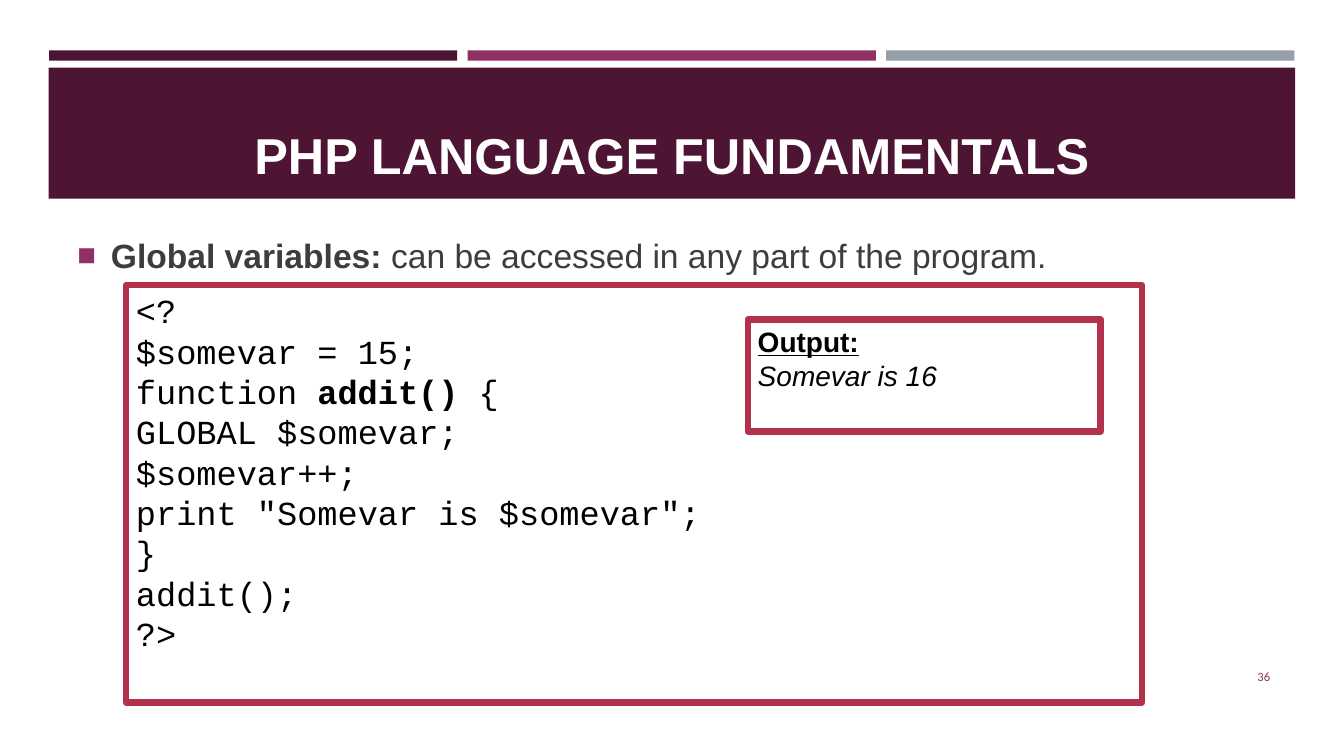
"""Build the slide on global variables in PHP."""
from lxml.etree import SubElement
from pptx import Presentation
from pptx.dml.color import RGBColor
from pptx.enum.shapes import MSO_SHAPE
from pptx.enum.text import MSO_ANCHOR, PP_ALIGN
from pptx.oxml.ns import qn
from pptx.util import Pt

PLUM, MAGENTA, GREY, RED = "4D1434", "903163", "969FA7", "B2324B"
WHITE, BLACK, CHARCOAL = "FFFFFF", "000000", "3D3D3D"


def color(value):
    return RGBColor.from_string(value)


class SlideBuilder:
    def __init__(self, page, outline_width=4.5):
        self.page = page
        self.outline_width = outline_width

    def rectangle(self, left, top, width, height, fill, outline=None):
        box = self.page.shapes.add_shape(
            MSO_SHAPE.RECTANGLE, Pt(left), Pt(top), Pt(width), Pt(height))
        box.shadow.inherit = False
        box.fill.solid()
        box.fill.fore_color.rgb = color(fill)
        if outline:
            box.line.color.rgb = color(outline)
            box.line.width = Pt(self.outline_width)
        else:
            box.line.fill.background()
        return box

    def text_box(self, left, top, width, height):
        return self.page.shapes.add_textbox(Pt(left), Pt(top), Pt(width), Pt(height))

    def add_text(self, box, lines, font, size, ink, align=PP_ALIGN.LEFT, anchor=MSO_ANCHOR.TOP):
        frame = box.text_frame
        frame.word_wrap = True
        frame.vertical_anchor = anchor
        for index, line in enumerate(lines):
            para = frame.add_paragraph() if index else frame.paragraphs[0]
            para.alignment = align
            for text, style in line:
                span = para.add_run()
                span.text = text
                span.font.name = font
                span.font.size = Pt(size)
                span.font.color.rgb = color(ink)
                span.font.bold = "b" in style
                span.font.italic = "i" in style
                span.font.underline = "u" in style

    def bullet(self, para, symbol, ink, percent, indent):
        para.line_spacing = 1.5
        para.space_after = Pt(6)
        properties = para._p.get_or_add_pPr()
        properties.set("marL", str(Pt(indent)))
        properties.set("indent", str(-Pt(indent)))
        bullet_color = SubElement(properties, qn("a:buClr"))
        SubElement(bullet_color, qn("a:srgbClr"), val=ink)
        SubElement(properties, qn("a:buSzPct"), val=str(percent * 1000))
        SubElement(properties, qn("a:buFont"), typeface="Arial")
        SubElement(properties, qn("a:buChar"), char=symbol)


def main():
    deck = Presentation()
    deck.slide_width, deck.slide_height = Pt(960), Pt(540)
    builder = SlideBuilder(deck.slides.add_slide(deck.slide_layouts[6]))

    for column, fill in enumerate((PLUM, MAGENTA, GREY)):
        builder.rectangle(35 + column * 299, 36, 291.6, 7.4, fill)
    builder.rectangle(34.8, 48.4, 890.4, 93.6, PLUM)

    title = builder.text_box(46, 55.4, 868, 80)
    builder.add_text(title, [[("PHP LANGUAGE FUNDAMENTALS", "b")]], "Arial", 36, WHITE,
                     PP_ALIGN.CENTER, MSO_ANCHOR.BOTTOM)

    body = builder.text_box(48.2, 149.8, 864, 390)
    builder.bullet(body.text_frame.paragraphs[0], "■", MAGENTA, 92, 24)
    builder.add_text(body, [[("Global variables: ", "b"),
                             ("can be accessed in any part of the program.", "")]],
                     "Arial", 24, CHARCOAL)

    number = builder.text_box(831.6, 468.7, 82.8, 28.8)
    builder.add_text(number, [[("36", "")]], "Calibri", 9, MAGENTA,
                     PP_ALIGN.RIGHT, MSO_ANCHOR.MIDDLE)

    code = builder.rectangle(90, 203.8, 725.8, 298, WHITE, RED)
    builder.add_text(code, [
        [("<?", "")],
        [("$somevar = 15;", "")],
        [("function ", ""), ("addit() ", "b"), ("{", "")],
        [("GLOBAL $somevar;", "")],
        [("$somevar++;", "")],
        [('print "Somevar is $somevar";', "")],
        [("}", "")],
        [("addit();", "")],
        [("?>", "")],
    ], "Courier New", 24, BLACK)

    output = builder.rectangle(534.2, 228.2, 252, 80, WHITE, RED)
    builder.add_text(output, [[("Output:", "bu")], [("Somevar is 16", "i")]],
                     "Arial", 20, BLACK)

    deck.save("out.pptx")


if __name__ == "__main__":
    main()
